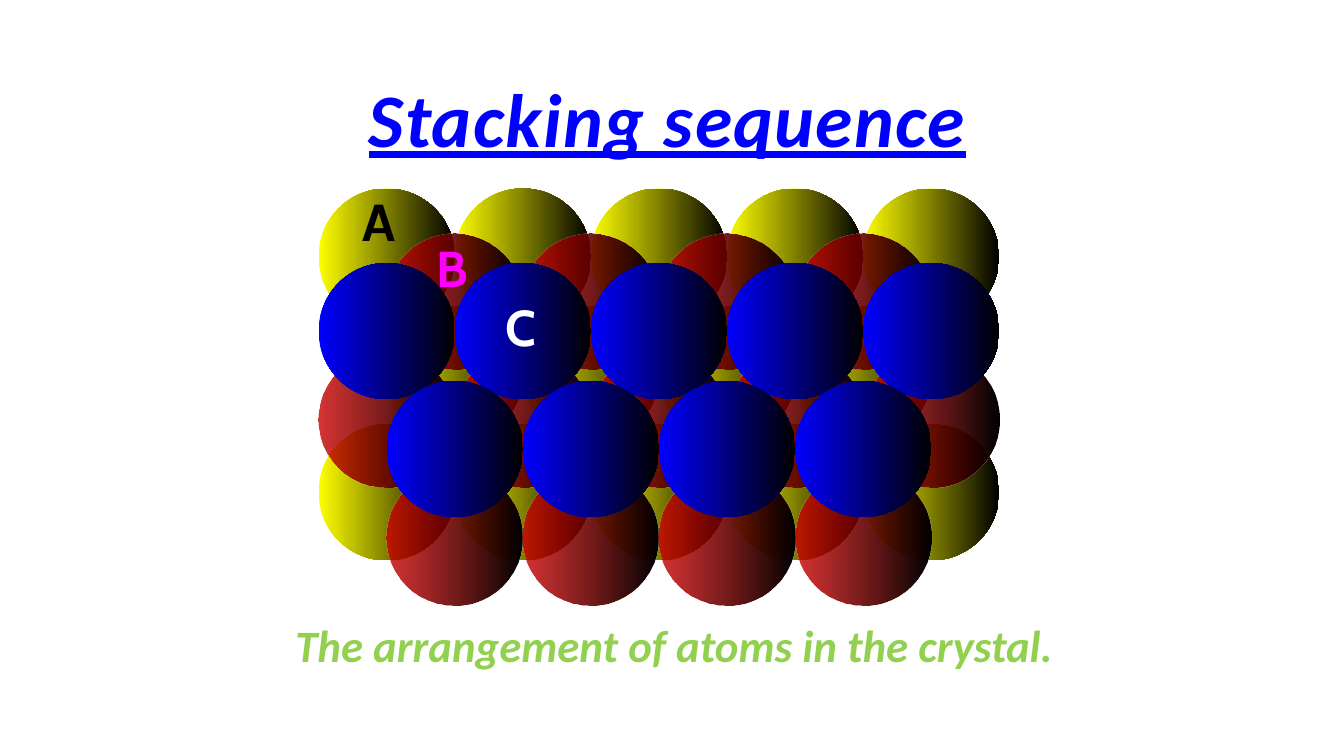
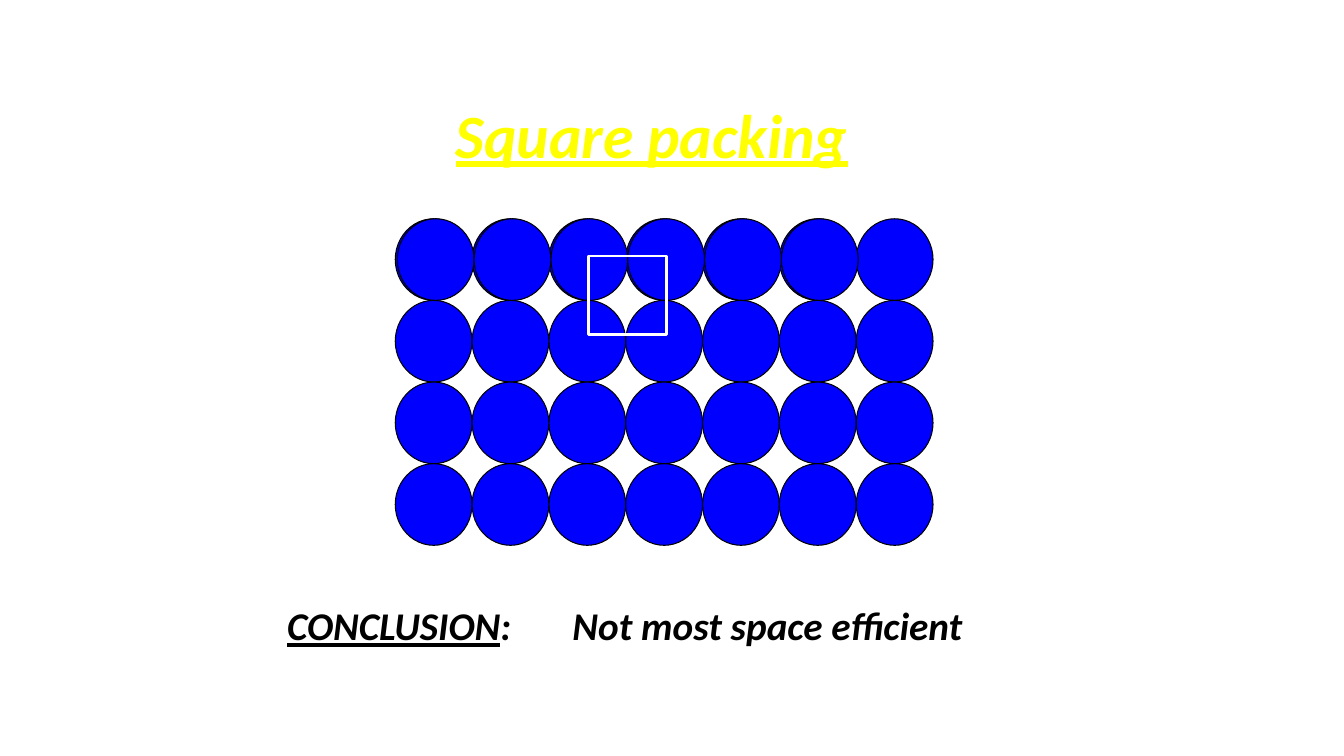
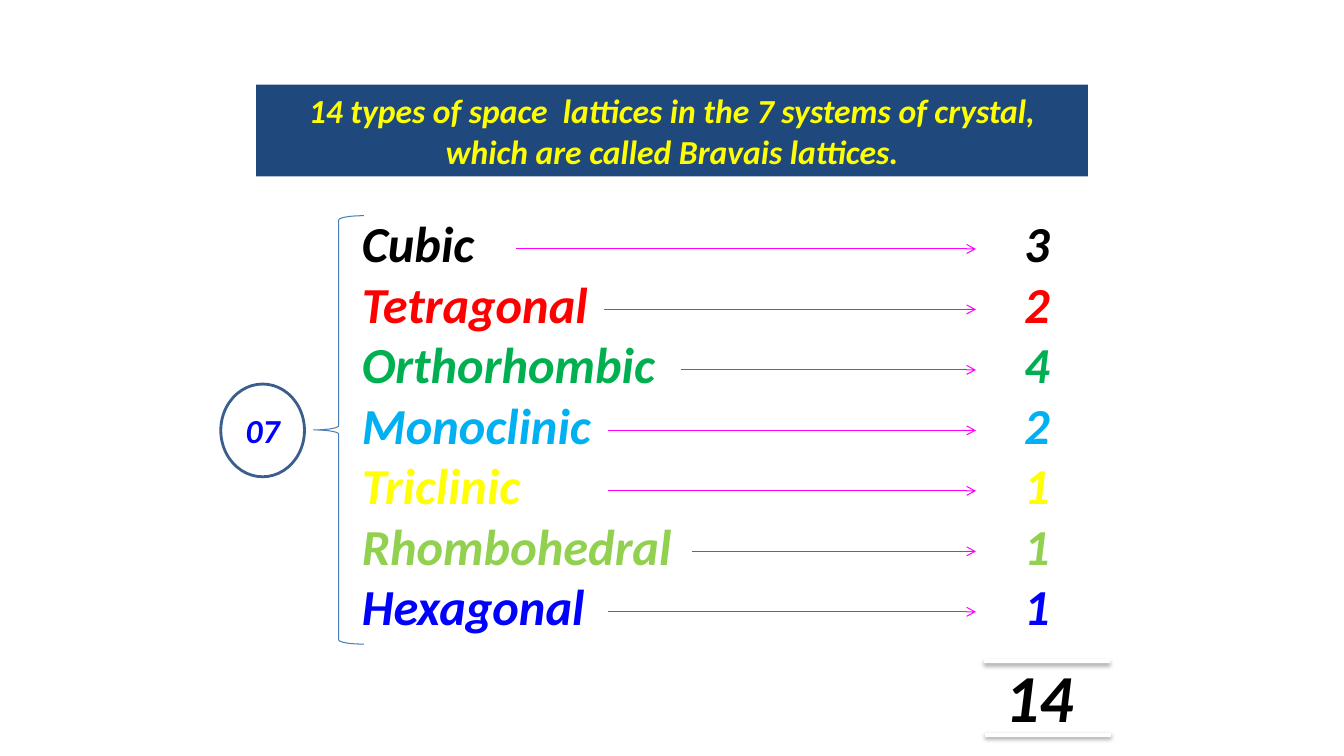
from lxml import etree
from pptx import Presentation
from pptx import util as u
from pptx.dml.color import RGBColor
from pptx.enum import shapes, text
from pptx.oxml import parse_xml
from pptx.oxml.ns import nsdecls, qn

CELL = u.Inches(1)  # the page is a grid of one-inch cells
COLORS = {
    "blue": "0000FF", "yellow": "FFFF00", "black": "000000", "white": "FFFFFF",
    "red": "FF0000", "deep red": "CC0000", "magenta": "FF00FF", "lime": "92D050",
    "green": "00B050", "sky": "00B0F0", "navy": "1F497D", "steel": "4B7EBC",
    "slate": "3A5F8C",
}
RGB = {name: RGBColor.from_string(value) for name, value in COLORS.items()}
BASE = {"name": "Calibri", "bold": True, "italic": True}
TITLE = {**BASE, "underline": True}
KIND = shapes.MSO_SHAPE
CENTER = text.PP_ALIGN.CENTER


def draw(page, kind, box, fill=None, line=None, weight=0.75):
    """Add a shape, or a text box when kind is None; box is in grid cells."""
    place = [round(side * CELL) for side in box]
    if kind is None:
        return page.shapes.add_textbox(*place)
    shape = page.shapes.add_shape(kind, *place)
    shape.shadow.inherit = False
    if fill:
        shape.fill.solid()
        shape.fill.fore_color.rgb = RGB[fill]
    else:
        shape.fill.background()
    if line:
        shape.line.color.rgb = RGB[line]
        shape.line.width = u.Pt(weight)
    else:
        shape.line.fill.background()
    return shape


def write(shape, lines, size, align=None, tab=None, style=BASE):
    """Fill a shape with lines, each a list of (words, color, changes)."""
    frame = shape.text_frame
    frame.word_wrap = True
    for number, spans in enumerate(lines):
        para = frame.add_paragraph() if number else frame.paragraphs[0]
        para.alignment = align or text.PP_ALIGN.LEFT
        if tab:
            stops = etree.SubElement(para._p.get_or_add_pPr(), qn("a:tabLst"))
            etree.SubElement(stops, qn("a:tab"), pos=str(round(tab * CELL)), algn="l")
        for words, color, changes in spans:
            span = para.add_run()
            span.text = words
            for key, value in {**style, "size": u.Pt(size), **changes}.items():
                setattr(span.font, key, value)
            span.font.color.rgb = RGB[color]
    return frame


deck = Presentation()
deck.slide_width, deck.slide_height = u.Inches(13.33), u.Inches(7.5)
stacking, packing, lattices = [
    deck.slides.add_slide(deck.slide_layouts[6]) for _ in range(3)]

# Stacking sequence: three layers of close-packed spheres
frame = write(draw(stacking, None, (3.42, 0.66, 6.4, 1.01)),
              [[("Stacking sequence", "blue", {})]], 54, CENTER, style=TITLE)
frame.paragraphs[0].runs[0].font._element.set("spc", "100")

SPHERE, ROW_STEP, LEFT = 1.35, 1.17, 3.16
layers = [
    ("yellow", 100, 1.87, (5, 4, 5), "A", "black", (3.49, 1.79), 40, "Karla"),
    ("deep red", 80, 2.32, (4, 5, 4), "B", "magenta", (4.23, 2.3), 36, "Cabin"),
    ("blue", 100, 2.61, (5, 4), "C", "white", (4.92, 2.89), 36, "Cabin"),
]
for color, opacity, top, rows, letter, ink, corner, size, font in layers:
    for row, count in enumerate(rows):
        indent = (5 - count) * SPHERE / 2
        for column in range(count):
            sphere = draw(stacking, KIND.OVAL, (LEFT + indent + column * SPHERE,
                                                top + row * ROW_STEP, SPHERE, SPHERE))
            sphere.fill.gradient()
            sphere.fill.gradient_angle = 0
            for stop, tone in zip(sphere.fill.gradient_stops, (color, "black")):
                stop.color.rgb = RGB[tone]
            if opacity < 100:
                start = next(sphere._element.iter(qn("a:srgbClr")))
                etree.SubElement(start, qn("a:alpha"), val=str(opacity * 1000))
    write(draw(stacking, None, (*corner, 0.6, 0.75)), [[(letter, ink, {})]], size,
          style={"name": font, "bold": True})

write(draw(stacking, None, (2.83, 6.08, 7.89, 0.64)),
      [[("The arrangement of atoms in the crystal.", "lime", {})]], 32)

# Square packing: a grid of atoms with its unit cell
write(draw(packing, None, (4.42, 0.91, 4.4, 0.84)),
      [[("Square packing", "yellow", {})]], 44, style=TITLE)
write(draw(packing, None, (2.75, 5.92, 7.4, 0.57)),
      [[("CONCLUSION", "black", {"underline": True}),
        (":\tNot most space efficient", "black", {})]], 28, tab=2.83)

ATOM_WIDTH, ATOM_HEIGHT, ATOM_TOP = 0.762, 0.81, 2.17
atom_rows = [(3.92, row, 7) for row in range(4)] + [(3.94, 0, 6)]
for left, row, count in atom_rows:
    for column in range(count):
        draw(packing, KIND.OVAL, (left + column * ATOM_WIDTH, ATOM_TOP + row * ATOM_HEIGHT,
                                  ATOM_WIDTH, ATOM_HEIGHT), "blue", "black")
draw(packing, KIND.RECTANGLE, (5.84, 2.54, 0.77, 0.78), line="white", weight=2)

# Bravais lattices: seven systems and their counts
banner = draw(lattices, KIND.RECTANGLE, (2.54, 0.84, 8.25, 0.91), "navy")
write(banner, [[("14 types of space  lattices in the 7 systems of crystal,", "yellow", {})],
               [("which are called Bravais lattices.", "yellow", {})]], 24, CENTER)

systems = [
    ("Cubic", 3, "black", 5.12), ("Tetragonal", 2, "red", 5.99),
    ("Orthorhombic", 4, "green", 6.75), ("Monoclinic", 2, "sky", 6.03),
    ("Triclinic", 1, "yellow", 6.03), ("Rhombohedral", 1, "lime", 6.86),
    ("Hexagonal", 1, "blue", 6.03),
]
write(draw(lattices, None, (3.49, 2.06, 7.16, 4.4)),
      [[(f"{name}\t{count}", color, {})] for name, count, color, _ in systems],
      36, tab=6.57)

draw(lattices, KIND.LEFT_BRACE, (3.11, 2.14, 0.5, 4.25), line="steel")
badge = draw(lattices, KIND.OVAL, (2.19, 3.81, 0.83, 0.92), "white", "slate", 2)
write(badge, [[("07", "blue", {})]], 24, CENTER).vertical_anchor = text.MSO_ANCHOR.MIDDLE

SHADOW = (f'<a:effectLst {nsdecls("a")}><a:outerShdw blurRad="{u.Pt(3.1)}" '
          f'dist="{u.Pt(1.8)}" dir="5400000" rotWithShape="0"><a:srgbClr '
          f'val="{COLORS["black"]}"><a:alpha val="35000"/></a:srgbClr>'
          '</a:outerShdw></a:effectLst>')
arrows = [(start, 9.68, 2.47 + 0.6 * row, "magenta", 0.75)
          for row, (_, _, _, start) in enumerate(systems)]
total_rules = [(9.76, 11.01, 6.56, "white", 3), (9.77, 11.02, 7.29, "white", 3)]
for start, end, height, color, weight in arrows + total_rules:
    ends = [round(value * CELL) for value in (start, height, end, height)]
    line = lattices.shapes.add_connector(shapes.MSO_CONNECTOR.STRAIGHT, *ends)
    line.line.color.rgb = RGB[color]
    line.line.width = u.Pt(weight)
    properties = line._element.spPr
    if color == "magenta":
        etree.SubElement(properties.find(qn("a:ln")), qn("a:tailEnd"), type="arrow")
        etree.SubElement(properties, qn("a:effectLst"))
    else:
        properties.append(parse_xml(SHADOW))

write(draw(lattices, None, (9.87, 6.45, 1, 0.91)), [[("14", "black", {})]], 48)

deck.save("out.pptx")
